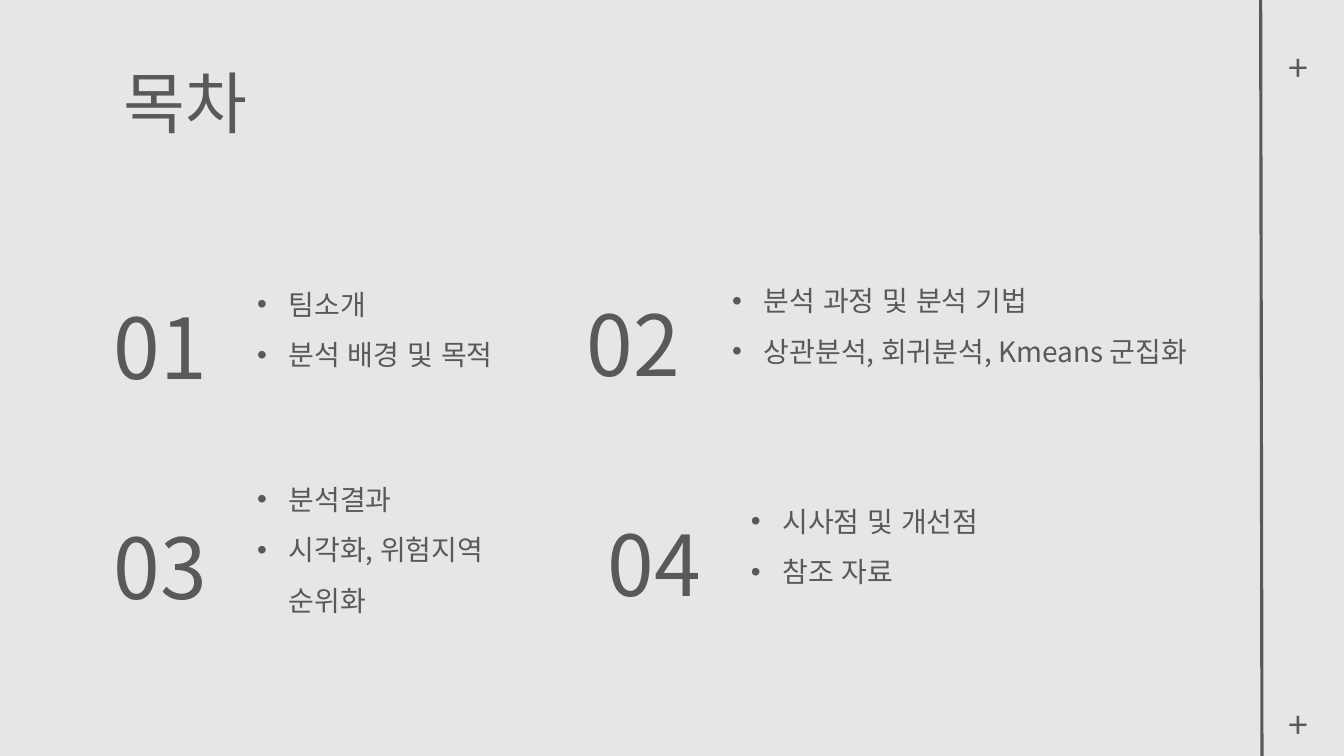
from dataclasses import dataclass

from lxml.etree import SubElement
from pptx import Presentation
from pptx.dml.color import RGBColor
from pptx.enum.dml import MSO_LINE
from pptx.enum.lang import MSO_LANGUAGE_ID
from pptx.enum.shapes import MSO_CONNECTOR, MSO_SHAPE
from pptx.enum.text import MSO_ANCHOR, MSO_AUTO_SIZE, PP_ALIGN
from pptx.oxml.ns import qn
from pptx.util import Pt


@dataclass(frozen=True)
class Theme:
    background: RGBColor = RGBColor(0xE6, 0xE6, 0xE6)
    ink: RGBColor = RGBColor(0x59, 0x59, 0x59)
    font: str = "Noto Sans CJK KR"
    title_size: float = 48
    number_size: float = 60
    item_size: float = 20
    plus_size: float = 44
    line_spacing: float = 1.5
    line_width: float = 2.25


@dataclass(frozen=True)
class Box:
    left: float
    top: float
    width: float
    height: float


@dataclass(frozen=True)
class Section:
    """A numbered agenda entry; its number and list share one vertical middle."""
    number: str
    items: tuple[str, ...]
    middle: float
    number_left: float
    number_width: float
    list_left: float
    list_width: float


@dataclass(frozen=True)
class PlusMark:
    box: Box
    wraps: bool


THEME = Theme()
TITLE_BOX = Box(81, 0, 703.44, 105.12)
NUMBER_HEIGHT = 116.64
LIST_HEIGHT = 82.8
BULLET_INDENT = 22.5

SECTIONS = (
    Section("01", ("팀소개", "분석 배경 및 목적"), 229.2, 29.9, 169.2, 172.5, 243.36),
    Section("02", ("분석 과정 및 분석 기법", "상관분석, 회귀분석, Kmeans 군집화"),
            226.6, 365.5, 173.52, 511.92, 378.72),
    Section("03", ("분석결과", "시각화, 위험지역 순위화"), 386.5, 29.9, 169.2, 172.5, 243.36),
    Section("04", ("시사점 및 개선점", "참조 자료"), 384.3, 382.7, 169.2, 525.2, 243.36),
)
PLUS_MARKS = (
    PlusMark(Box(912.96, 0, 32.4, 42.48), True),
    PlusMark(Box(912.96, 468.72, 35.28, 42.48), False),
)


def place(shape, box: Box) -> None:
    shape.left, shape.top = Pt(box.left), Pt(box.top)
    shape.width, shape.height = Pt(box.width), Pt(box.height)


def format_paragraph(paragraph, size: float, alignment=PP_ALIGN.LEFT,
                     line_spacing: float = THEME.line_spacing) -> None:
    paragraph.alignment = alignment
    paragraph.line_spacing = line_spacing
    for run in paragraph.runs:
        font = run.font
        font.name, font.size = THEME.font, Pt(size)
        font.color.rgb = THEME.ink
        font.language_id = MSO_LANGUAGE_ID.KOREAN
        SubElement(font._element, qn("a:ea"), typeface=THEME.font)


def add_bullet(paragraph) -> None:
    properties = paragraph._p.get_or_add_pPr()
    properties.set("marL", str(Pt(BULLET_INDENT)))
    properties.set("indent", str(-Pt(BULLET_INDENT)))
    SubElement(properties, qn("a:buFont"), typeface="Arial")
    SubElement(properties, qn("a:buChar"), char="•")


def fill_title(title) -> None:
    place(title, TITLE_BOX)
    frame = title.text_frame
    frame.text = "목차"
    frame.vertical_anchor = MSO_ANCHOR.BOTTOM
    frame.auto_size = MSO_AUTO_SIZE.NONE
    format_paragraph(frame.paragraphs[0], THEME.title_size)


def add_number(slide, section: Section) -> None:
    box = slide.shapes.add_textbox(
        Pt(section.number_left), Pt(section.middle - NUMBER_HEIGHT / 2),
        Pt(section.number_width), Pt(NUMBER_HEIGHT))
    frame = box.text_frame
    frame.text = section.number
    frame.word_wrap = True
    frame.vertical_anchor = MSO_ANCHOR.MIDDLE
    format_paragraph(frame.paragraphs[0], THEME.number_size, PP_ALIGN.CENTER)


def add_list(slide, section: Section) -> None:
    """Draw the bulleted items in a rounded frame that blends into the background."""
    panel = slide.shapes.add_shape(
        MSO_SHAPE.ROUNDED_RECTANGLE,
        Pt(section.list_left), Pt(section.middle - LIST_HEIGHT / 2),
        Pt(section.list_width), Pt(LIST_HEIGHT))
    panel.shadow.inherit = False
    panel.fill.background()
    panel.line.color.rgb = THEME.background
    panel.line.width = Pt(THEME.line_width)
    panel.line.dash_style = MSO_LINE.SQUARE_DOT
    frame = panel.text_frame
    frame.text = "\n".join(section.items)
    frame.word_wrap = True
    frame.vertical_anchor = MSO_ANCHOR.MIDDLE
    for paragraph in frame.paragraphs:
        format_paragraph(paragraph, THEME.item_size)
        add_bullet(paragraph)


def add_side_line(slide) -> None:
    line = slide.shapes.add_connector(
        MSO_CONNECTOR.STRAIGHT, Pt(900.5), Pt(0), Pt(901.44), Pt(540))
    line.line.color.rgb = THEME.ink
    line.line.width = Pt(THEME.line_width)
    SubElement(line._element.spPr, qn("a:effectLst"))


def add_plus_mark(slide, mark: PlusMark) -> None:
    box = slide.shapes.add_textbox(Pt(0), Pt(0), Pt(0), Pt(0))
    place(box, mark.box)
    frame = box.text_frame
    frame.text = "+"
    frame.word_wrap = mark.wraps
    frame.auto_size = MSO_AUTO_SIZE.SHAPE_TO_FIT_TEXT
    paragraph = frame.paragraphs[0]
    format_paragraph(paragraph, THEME.plus_size, line_spacing=1.0)
    paragraph.runs[0].font._element.set("baseline", "-25000")


def main() -> None:
    presentation = Presentation()
    presentation.slide_width, presentation.slide_height = Pt(960), Pt(540)
    title_only_layout = presentation.slide_layouts[5]
    slide = presentation.slides.add_slide(title_only_layout)
    slide.background.fill.solid()
    slide.background.fill.fore_color.rgb = THEME.background

    fill_title(slide.shapes.title)
    add_side_line(slide)
    for mark in PLUS_MARKS:
        add_plus_mark(slide, mark)
    for section in SECTIONS:
        add_number(slide, section)
        add_list(slide, section)
    presentation.save("out.pptx")


if __name__ == "__main__":
    main()
